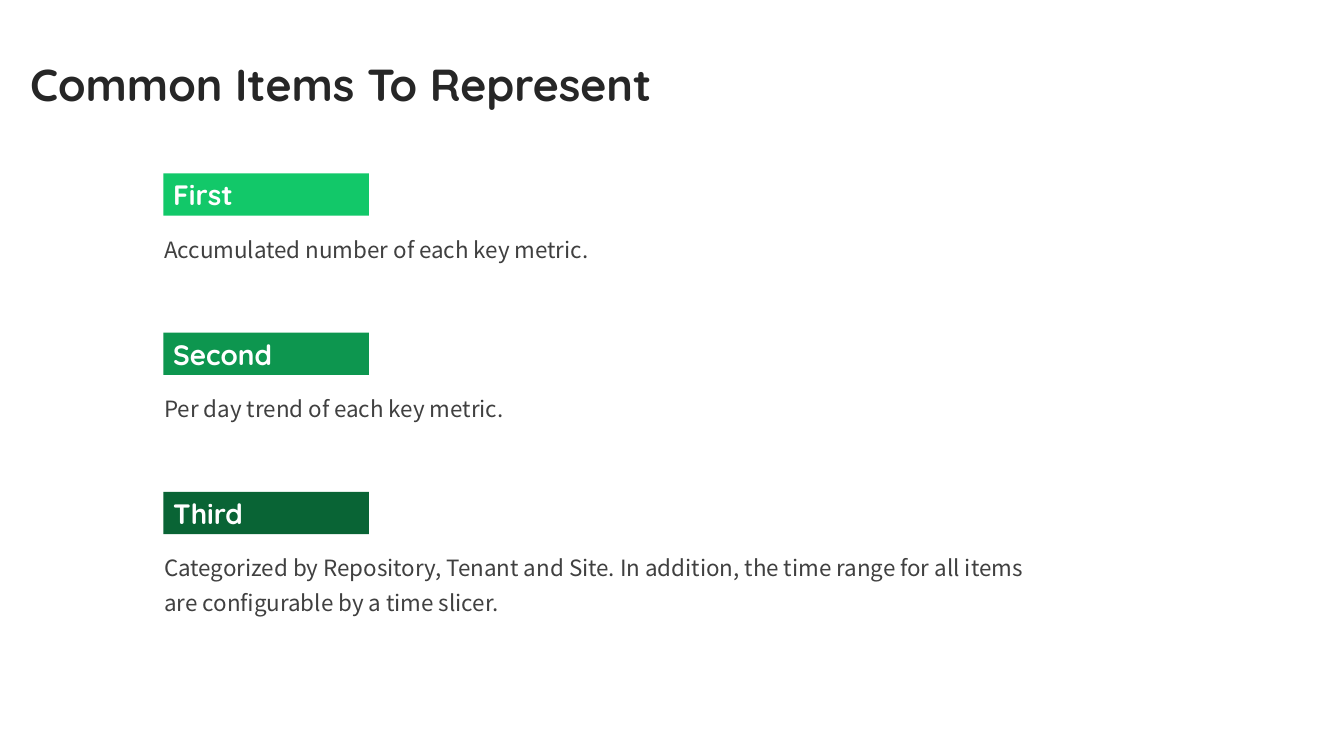
from pptx import Presentation
from pptx.dml.color import RGBColor
from pptx.enum.shapes import MSO_SHAPE
from pptx.enum.text import MSO_ANCHOR, PP_ALIGN
from pptx.util import Inches, Pt

RECTANGLE = MSO_SHAPE.RECTANGLE
TOP, MIDDLE = MSO_ANCHOR.TOP, MSO_ANCHOR.MIDDLE
LEFT = PP_ALIGN.LEFT

TITLE = {"name": "Quicksand", "size": Pt(32), "bold": True, "color": "262626"}
LABEL = {"name": "Quicksand", "size": Pt(20), "bold": True, "color": "FFFFFF"}
BODY = {"name": "Noto Sans CJK SC", "size": Pt(16), "bold": False, "color": "404040"}

ITEMS = [
    ("First", "12C869", "Accumulated number of each key metric.", 4.99, 0.39),
    ("Second", "0D964F", "Per day trend of each key metric.", 3.94, 0.39),
    ("Third", "096435",
     "Categorized by Repository, Tenant and Site. In addition, the time range "
     "for all items are configurable by a time slicer.", 8.97, 0.78),
]
FIRST_TOP, ITEM_STEP, BODY_OFFSET = 1.72, 1.58, 0.5


def set_color(target, value):
    target.rgb = RGBColor.from_string(value)


def write_text(box, text, style, anchor=TOP, margins=(0.1, 0.05), spacing=1.0):
    frame = box.text_frame
    side, edge = map(Inches, margins)
    layout = {"word_wrap": True, "vertical_anchor": anchor,
              "margin_left": side, "margin_right": side,
              "margin_top": edge, "margin_bottom": edge}
    for name, value in layout.items():
        setattr(frame, name, value)
    para = frame.paragraphs[0]
    para.alignment = LEFT
    para.line_spacing = spacing
    span = para.add_run()
    span.text = text
    for name, value in style.items():
        if name == "color":
            set_color(span.font.color, value)
        else:
            setattr(span.font, name, value)


def add_text(page, bounds, text, style, **options):
    box = page.shapes.add_textbox(*map(Inches, bounds))
    write_text(box, text, style, **options)


def add_label(page, bounds, text, fill):
    label = page.shapes.add_shape(RECTANGLE, *map(Inches, bounds))
    label.shadow.inherit = False
    label.fill.solid()
    set_color(label.fill.fore_color, fill)
    label.line.fill.background()
    write_text(label, text, LABEL, anchor=MIDDLE)


def main():
    deck = Presentation()
    deck.slide_width, deck.slide_height = Inches(13.33), Inches(7.5)
    page = deck.slides.add_slide(deck.slide_layouts[6])
    add_text(page, (0.2, 0.51, 6.63, 1.18), "Common Items To Represent", TITLE)
    for index, (label, fill, body, width, height) in enumerate(ITEMS):
        top = FIRST_TOP + index * ITEM_STEP
        add_label(page, (1.62, top, 2.04, 0.42), label, fill)
        add_text(page, (1.56, top + BODY_OFFSET, width, height), body, BODY,
                 margins=(0.07, 0.04), spacing=1.3)
    deck.save("out.pptx")


if __name__ == "__main__":
    main()
